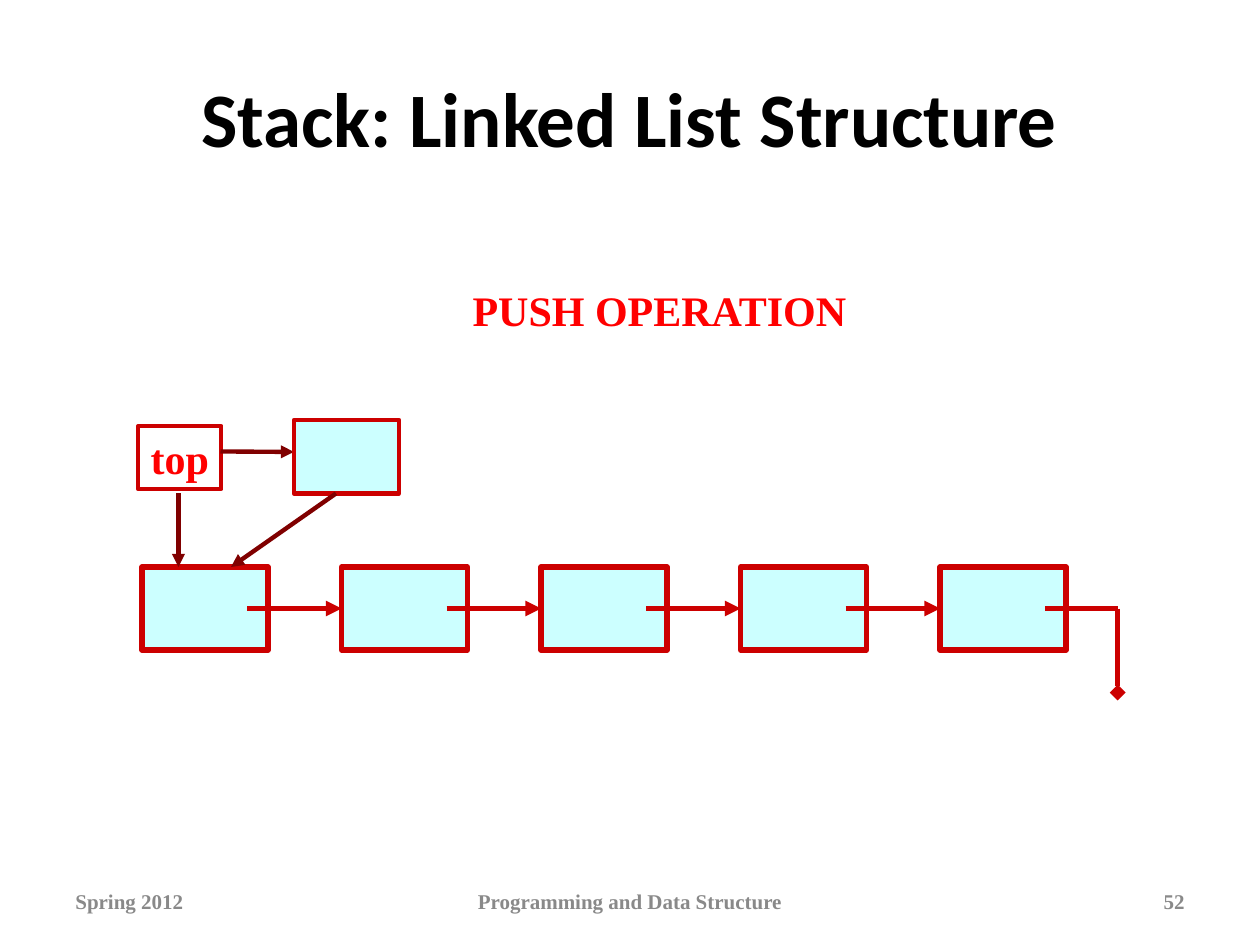
from lxml import etree
from pptx import Presentation
from pptx.dml.color import RGBColor
from pptx.enum import shapes, text
from pptx.oxml import ns
from pptx.util import Pt

HUES = {"ink": "000000", "grey": "898989", "red": "FF0000",
        "edge": "CC0000", "dark": "800000", "cell": "CCFFFF"}
SERIF = "Times New Roman"
HEAD = {"name": "Calibri", "size": Pt(44), "bold": True}
FOOT = {"name": SERIF, "size": Pt(12), "bold": True}
LABEL = {"name": SERIF, "size": Pt(24), "bold": True}
LEFT, MID, RIGHT = (text.PP_ALIGN.LEFT, text.PP_ALIGN.CENTER,
                    text.PP_ALIGN.RIGHT)


def hue(name):
    return RGBColor.from_string(HUES[name])


def write(shape, words, form, color, align=LEFT, wrap=True):
    """Put one formatted paragraph in a shape."""
    frame = shape.text_frame
    frame.word_wrap = wrap
    frame.vertical_anchor = (text.MSO_ANCHOR.MIDDLE if wrap
                             else text.MSO_ANCHOR.TOP)
    para = frame.paragraphs[0]
    para.text = words
    para.alignment = align
    for key, value in form.items():
        setattr(para.font, key, value)
    para.font.color.rgb = hue(color)


def add_text(slide, area, *args, **kwargs):
    box = slide.shapes.add_textbox(*map(Pt, area))
    write(box, *args, **kwargs)


def add_box(slide, area, width, fill=None):
    box = slide.shapes.add_shape(shapes.MSO_SHAPE.RECTANGLE, *map(Pt, area))
    box.shadow.inherit = False
    if fill:
        box.fill.solid()
        box.fill.fore_color.rgb = hue(fill)
    else:
        box.fill.background()
    box.line.color.rgb = hue("edge")
    box.line.width = Pt(width)
    return box


def add_line(slide, ends, color, width, tip="triangle"):
    link = slide.shapes.add_connector(shapes.MSO_CONNECTOR.STRAIGHT,
                                      *map(Pt, ends))
    link.line.color.rgb = hue(color)
    link.line.width = Pt(width)
    if tip:
        etree.SubElement(link.line._get_or_add_ln(), ns.qn("a:tailEnd"),
                         type=tip)
    etree.SubElement(link._element.spPr, ns.qn("a:effectLst"))


def add_list(slide, left=81.2, top=324, step=114, count=5):
    """Draw the chain of nodes, ending in a null pointer."""
    wide, high = 72, 47.5
    mid = top + high / 2
    for i in range(count):
        add_box(slide, (left + i * step, top, wide, high), 3, "cell")
    for i in range(count - 1):
        x = left + i * step
        add_line(slide, (x + 60, mid, x + step, mid), "edge", 3)
    x = left + (count - 1) * step
    end = x + 101.5
    add_line(slide, (x + 60, mid, end, mid), "edge", 3, None)
    add_line(slide, (end, mid, end, mid + 48), "edge", 3, "diamond")


def main():
    deck = Presentation()
    deck.slide_width, deck.slide_height = Pt(720), Pt(540)
    slide = deck.slides.add_slide(deck.slide_layouts[6])

    # Title and footer
    add_text(slide, (36, 21.6, 648, 90), "Stack: Linked List Structure",
             HEAD, "ink", MID)
    for left, wide, words, align in (
            (36, 168, "Spring 2012", LEFT),
            (246, 228, "Programming and Data Structure", MID),
            (516, 168, "52", RIGHT)):
        add_text(slide, (left, 500.5, wide, 28.75), words, FOOT, "grey", align)

    # Linked list
    add_list(slide)

    # Top pointer, before and after the push
    top = add_box(slide, (79, 243.5, 47.5, 36), 2.5)
    write(top, "top", LABEL, "red", wrap=False)
    add_line(slide, (102, 282, 102, 324), "dark", 2.5)
    add_line(slide, (126, 258, 168, 258.25), "dark", 2.5)

    # Pushed node
    add_box(slide, (168, 240, 60, 42), 2.5, "cell")
    add_line(slide, (192, 282, 132, 324), "dark", 2.5)
    add_text(slide, (263, 159, 229.5, 36), "PUSH OPERATION", LABEL, "red",
             wrap=False)

    deck.save("out.pptx")


if __name__ == "__main__":
    main()
